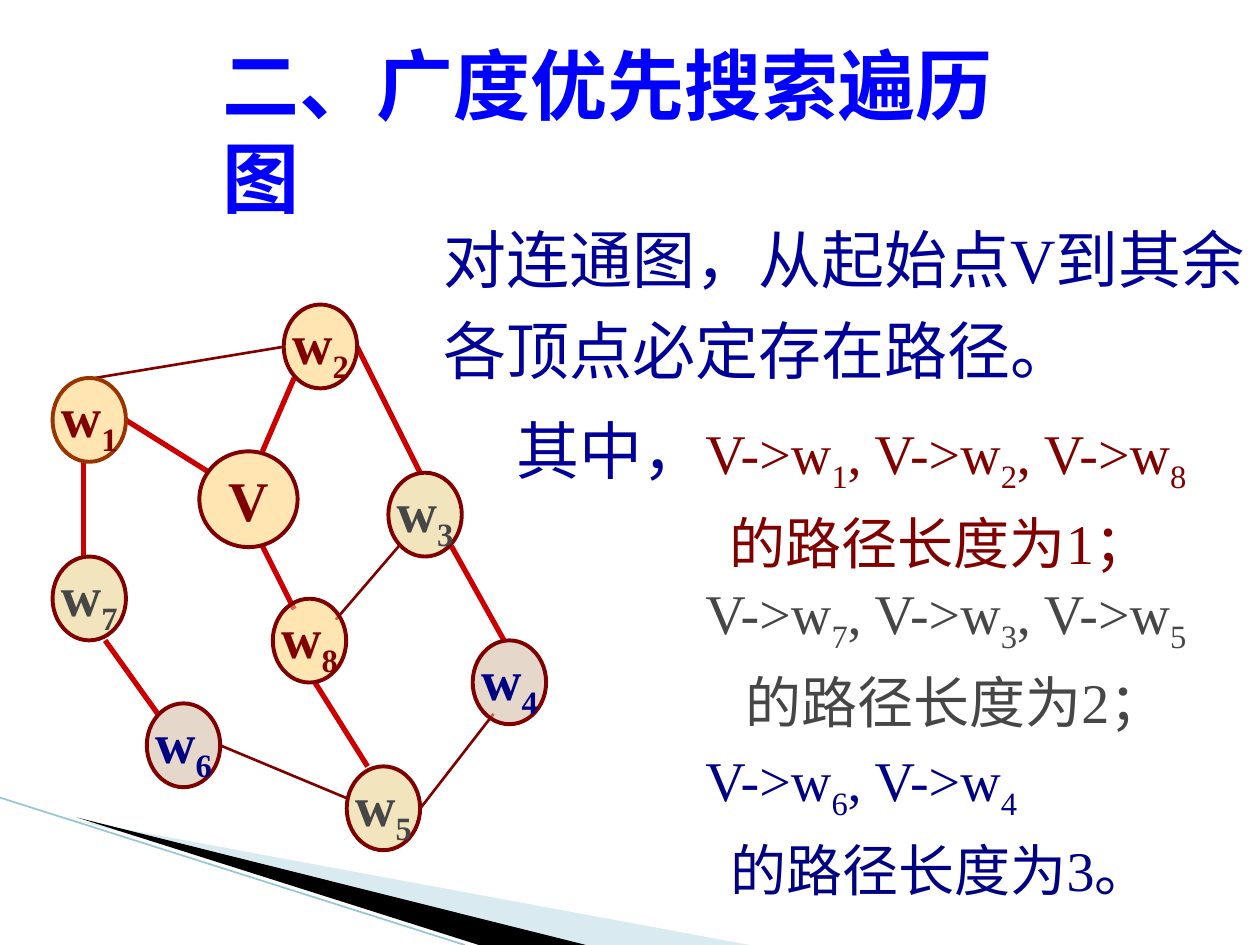
from dataclasses import dataclass
from itertools import groupby

from lxml.etree import SubElement
from pptx import Presentation
from pptx.dml.color import RGBColor
from pptx.enum.shapes import MSO_CONNECTOR, MSO_SHAPE
from pptx.enum.text import MSO_ANCHOR, MSO_AUTO_SIZE, PP_ALIGN
from pptx.oxml.ns import qn
from pptx.util import Cm, Pt


@dataclass(frozen=True)
class Theme:
    latin: str = "Times New Roman"
    chinese: str = "Noto Sans CJK SC"
    title: str = "0000FF"
    body: str = "000099"
    level_one: str = "800000"
    level_two: str = "464646"
    level_three: str = "000082"
    node_fill: str = "FFCC99"
    under_one: str = "FFFF99"
    under_two: str = "CCFFCC"
    under_three: str = "99CCFF"
    node_line: str = "800000"
    start_line: str = "993300"
    tree_edge: str = "CC0000"
    swoosh: str = "A0CBDC"
    swoosh_dark: str = "000000"
    swoosh_line: str = "97C5D8"
    title_size: int = 44
    body_size: int = 36
    label_size: int = 32


THEME = Theme()


def apply(target, values):
    for name, value in values.items():
        setattr(target, name, value)


def is_chinese(letter):
    return ord(letter) > 0x2E7F


class SlidePainter:
    def __init__(self, slide, theme):
        self.shapes = slide.shapes
        self.theme = theme

    def paint(self, shape, fill, opacity=100, line=None):
        shape.shadow.inherit = False
        shape.fill.solid()
        shape.fill.fore_color.rgb = RGBColor.from_string(fill)
        if opacity < 100:
            color = shape.fill._xPr.find(qn("a:solidFill"))[0]
            SubElement(color, qn("a:alpha"), val=str(opacity * 1000))
        if line:
            shape.line.color.rgb = RGBColor.from_string(line)
            shape.line.width = Pt(2.25)
        else:
            shape.line.fill.background()

    def polygon(self, points, fill, opacity=100):
        corners = [(Cm(x), Cm(y)) for x, y in points]
        builder = self.shapes.build_freeform(*corners[0])
        builder.add_line_segments(corners[1:], close=True)
        self.paint(builder.convert_to_shape(), fill, opacity)

    def line(self, ends, color, width):
        edge = self.shapes.add_connector(MSO_CONNECTOR.STRAIGHT, *map(Cm, ends))
        edge.line.color.rgb = RGBColor.from_string(color)
        edge.line.width = Pt(width)
        SubElement(edge._element.spPr, qn("a:effectLst"))

    def ellipse(self, place, fill, line=None):
        node = self.shapes.add_shape(MSO_SHAPE.OVAL, *map(Cm, place))
        self.paint(node, fill, 50, line)
        return node

    def add_spans(self, para, text, size, color, bold=False):
        """Add text to a paragraph; an underscore lowers the next character."""
        first, *rest = text.split("_")
        pieces = [(first, False)]
        for piece in rest:
            pieces += [(piece[0], True), (piece[1:], False)]
        for piece, lowered in pieces:
            for chinese, letters in groupby(piece, is_chinese):
                span = para.add_run()
                span.text = "".join(letters)
                name = self.theme.chinese if chinese else self.theme.latin
                apply(span.font, {"size": Pt(size), "bold": bold, "name": name})
                span.font.color.rgb = RGBColor.from_string(color)
                properties = span._r.get_or_add_rPr()
                SubElement(properties, qn("a:ea"), typeface=self.theme.chinese)
                if lowered:
                    properties.set("baseline", "-25000")

    def label(self, node, text, color):
        frame = node.text_frame
        apply(frame, {"word_wrap": False, "vertical_anchor": MSO_ANCHOR.MIDDLE})
        para = frame.paragraphs[0]
        para.alignment = PP_ALIGN.CENTER
        self.add_spans(para, text, self.theme.label_size, color, bold=True)

    def text(self, place, lines, spacing=1.2):
        """Each line is a list of (text, size, color, bold) spans and an indent."""
        box = self.shapes.add_textbox(*map(Cm, place))
        frame = box.text_frame
        apply(frame, {"word_wrap": True, "auto_size": MSO_AUTO_SIZE.SHAPE_TO_FIT_TEXT})
        for index, (spans, indent) in enumerate(lines):
            para = frame.add_paragraph() if index else frame.paragraphs[0]
            para.line_spacing = spacing
            if indent:
                para._p.get_or_add_pPr().set("marL", str(Cm(indent)))
            for span in spans:
                self.add_spans(para, *span)


NODE_SIZE = (1.48, 1.69)
LEVELS = {
    1: (THEME.level_one, THEME.under_one),
    2: (THEME.level_two, THEME.under_two),
    3: (THEME.level_three, THEME.under_three),
}
# label: (left, top, width, height), distance level
NODES = {
    "V": ((4.02, 9.1, 1.98, 1.93), 1),
    "w_1": ((1.06, 7.62, *NODE_SIZE), 1),
    "w_2": ((5.72, 6.14, *NODE_SIZE), 1),
    "w_3": ((7.83, 9.53, *NODE_SIZE), 2),
    "w_4": ((9.53, 12.91, *NODE_SIZE), 3),
    "w_5": ((6.99, 15.45, *NODE_SIZE), 2),
    "w_6": ((2.96, 14.18, *NODE_SIZE), 3),
    "w_7": ((1.06, 11.22, *NODE_SIZE), 2),
    "w_8": ((5.5, 12.07, *NODE_SIZE), 1),
}
OTHER_EDGES = [
    (1.91, 7.62, 5.72, 6.99),
    (8.04, 11.01, 6.77, 12.49),
    (4.45, 15.03, 6.99, 16.09),
    (9.95, 14.39, 8.47, 16.3),
]
TREE_EDGES = [
    (2.54, 8.47, 4.23, 9.53),
    (5.93, 7.62, 5.29, 9.1),
    (5.29, 11.01, 5.93, 12.28),
    (1.69, 9.31, 1.69, 11.22),
    (7.2, 6.99, 8.47, 9.53),
    (6.35, 13.76, 7.41, 15.45),
    (2.12, 12.91, 3.18, 14.39),
    (9.1, 11.01, 10.16, 12.91),
]
# place, lead-in, paths, length sentence, its indent, level
PATH_GROUPS = [
    ((10.16, 7.83, 14.76, 3.7), "其中，", "V->w_1, V->w_2, V->w_8", "的路径长度为1；", 4.3, 1),
    ((13.97, 11.22, 10.67, 3.5), "", "V->w_7, V->w_3, V->w_5", "的路径长度为2；", 0.8, 2),
    ((13.97, 14.6, 10.1, 3.5), "", "V->w_6, V->w_4", "的路径长度为3。", 0.5, 3),
]


def main():
    deck = Presentation()
    apply(deck, {"slide_width": Cm(25.4), "slide_height": Cm(19.05)})
    page = SlidePainter(deck.slides.add_slide(deck.slide_layouts[6]), THEME)

    # Corner decoration
    page.polygon([(1.4, 16.51), (15.11, 19.05), (11.58, 19.05)], THEME.swoosh, 40)
    page.polygon([(1.55, 16.48), (11.81, 19.05), (9.65, 19.05)], THEME.swoosh_dark)
    page.line((0, 16.08, 9.37, 19.05), THEME.swoosh_line, 0.95)

    # Title and statement
    title = ("二、广度优先搜索遍历图", THEME.title_size, THEME.title, True)
    page.text((4.23, 0.64, 17.5, 2.1), [([title], 0)], spacing=1.0)
    statement = ("对连通图，从起始点V到其余各顶点必定存在路径。", THEME.body_size, THEME.body)
    page.text((8.69, 4.02, 16.94, 3.91), [([statement], 0)])

    # Graph: level tints, edges, then labelled nodes
    for place, level in NODES.values():
        page.ellipse(place, LEVELS[level][1])
    for ends in OTHER_EDGES:
        page.line(ends, THEME.node_line, 1.5)
    for ends in TREE_EDGES:
        page.line(ends, THEME.tree_edge, 3)
    for name, (place, level) in NODES.items():
        outline = THEME.start_line if name == "w_1" else THEME.node_line
        page.label(page.ellipse(place, THEME.node_fill, outline), name, LEVELS[level][0])

    # Path lengths by level
    for place, lead, paths, sentence, indent, level in PATH_GROUPS:
        color = LEVELS[level][0]
        first = [(lead, THEME.body_size, THEME.body), (paths, THEME.label_size, color)]
        second = [(sentence, THEME.label_size, color)]
        page.text(place, [(first, 0), (second, indent)])

    deck.save("out.pptx")


if __name__ == "__main__":
    main()
